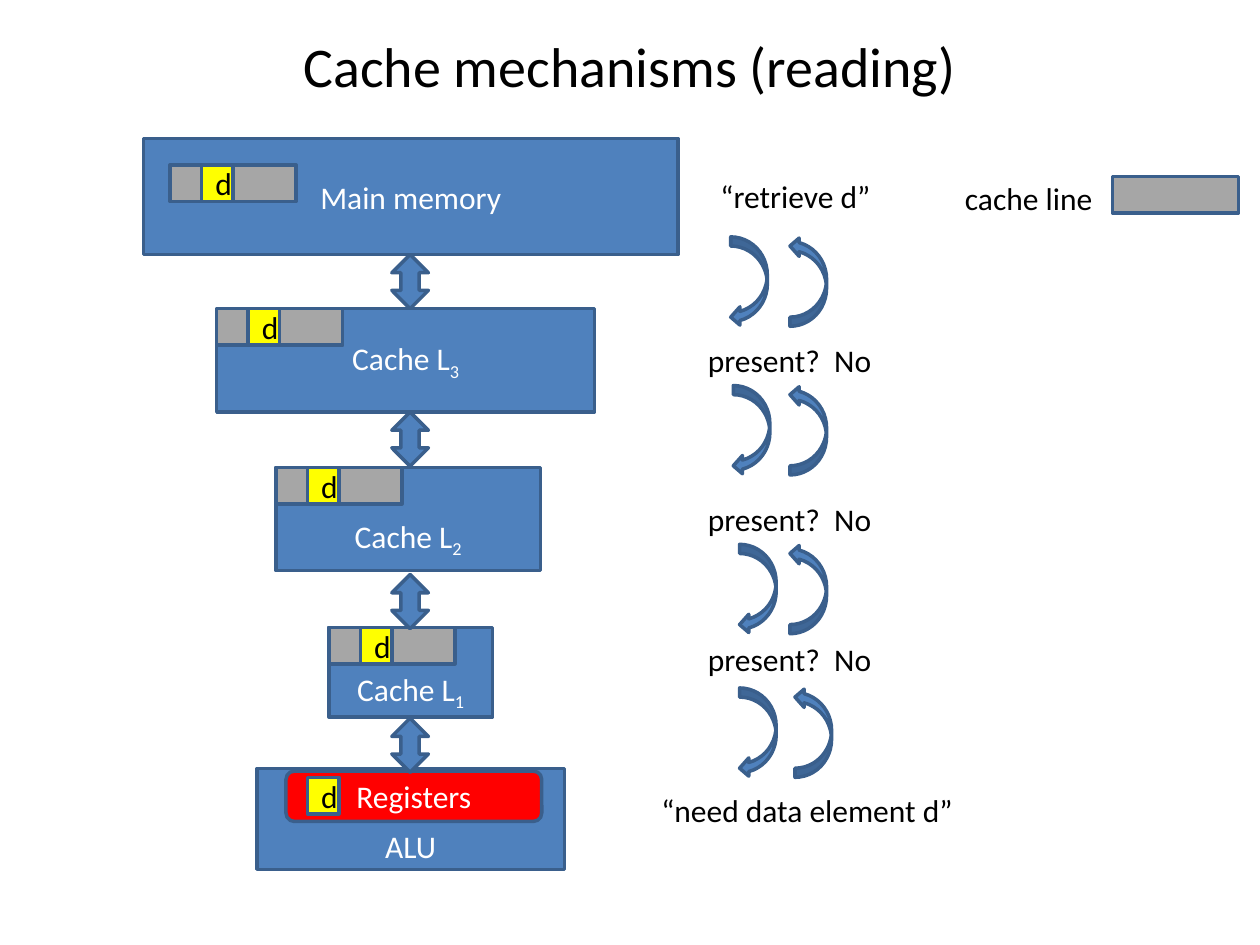
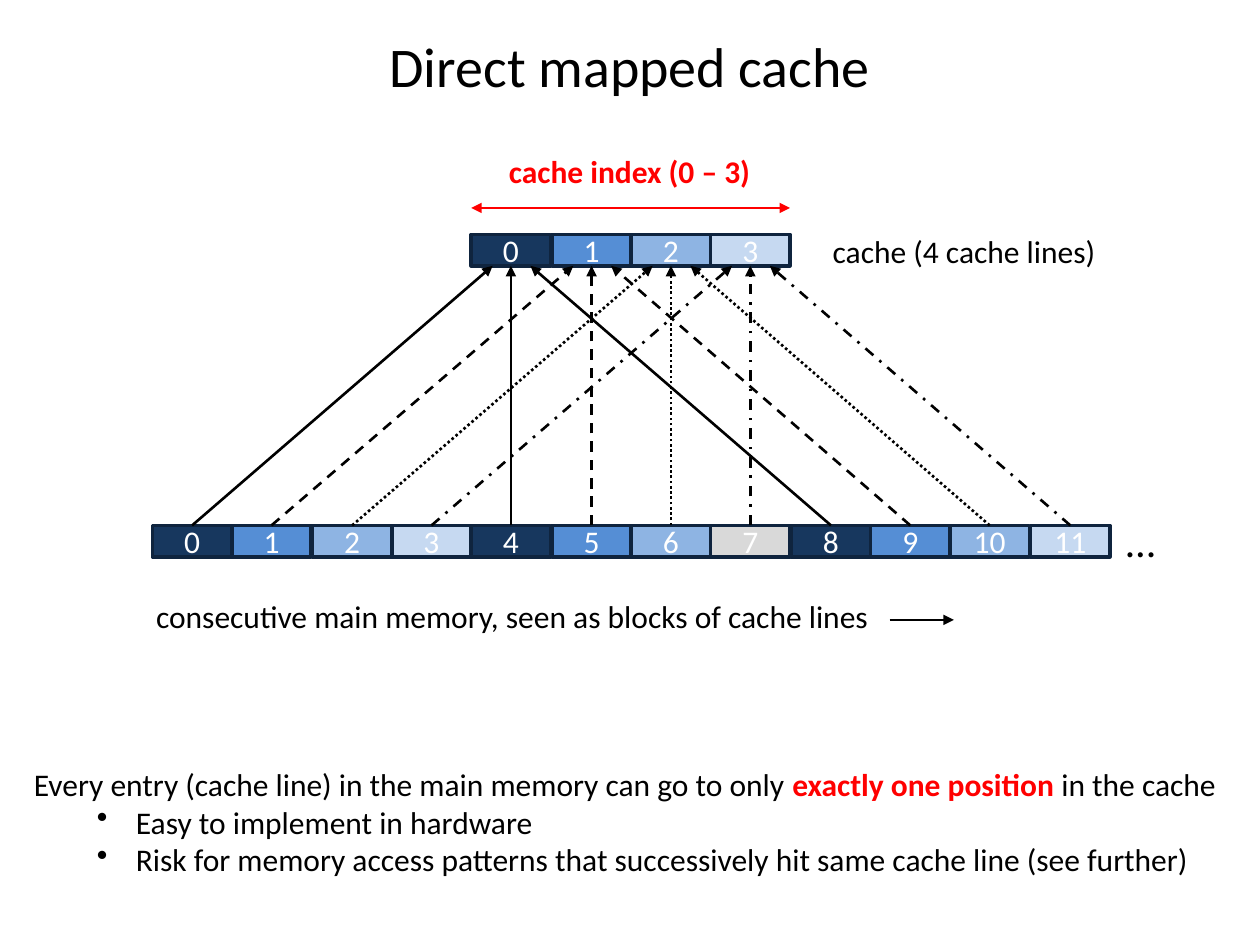
from lxml.etree import SubElement
from pptx import Presentation
from pptx.dml.color import RGBColor
from pptx.enum.dml import MSO_LINE as Dash
from pptx.enum.shapes import MSO_CONNECTOR, MSO_SHAPE as Shape
from pptx.enum.text import MSO_ANCHOR as Anchor, MSO_AUTO_SIZE as AutoSize, PP_ALIGN as Align
from pptx.oxml.ns import qn
from pptx.util import Emu, Pt

PX = 9144  # 100 px to the inch
FONT = "Calibri"
BLACK = RGBColor(0x00, 0x00, 0x00)
WHITE = RGBColor(0xFF, 0xFF, 0xFF)
RED = RGBColor(0xFF, 0x00, 0x00)
YELLOW = RGBColor(0xFF, 0xFF, 0x00)
GRAY = RGBColor(0xA6, 0xA6, 0xA6)
PALE_GRAY = RGBColor(0xD9, 0xD9, 0xD9)
BLUE = RGBColor(0x4F, 0x81, 0xBD)
BLUE_EDGE = RGBColor(0x3A, 0x5F, 0x8C)
NAVY_EDGE = RGBColor(0x0F, 0x24, 0x3E)
LINE_COLORS = [RGBColor(0x17, 0x37, 0x5E), RGBColor(0x55, 0x8E, 0xD5),
               RGBColor(0x8E, 0xB4, 0xE3), RGBColor(0xC6, 0xD9, 0xF1)]


def px(*lengths):
    return [Emu(length * PX) for length in lengths]


class Deck:
    """Holds the shared style and the slide being drawn."""

    def __init__(self):
        self.presentation = Presentation()
        self.presentation.slide_width, self.presentation.slide_height = px(1000, 750)
        self.slide = None

    def new_slide(self, title):
        self.slide = self.presentation.slides.add_slide(self.presentation.slide_layouts[6])
        box = self.text(50, 17, 900, 70, title, size=32)
        box.text_frame.auto_size = AutoSize.NONE
        box.text_frame.word_wrap = True
        box.text_frame.vertical_anchor = Anchor.MIDDLE
        box.text_frame.paragraphs[0].alignment = Align.CENTER

    def format_run(self, run, color=BLACK, size=18, bold=False):
        run.font.name, run.font.size, run.font.bold = FONT, Pt(size), bold
        run.font.color.rgb = color

    def add_run(self, paragraph, text, color=BLACK, bold=False):
        run = paragraph.add_run()
        run.text = text
        self.format_run(run, color, bold=bold)
        return run

    def text(self, left, top, width, height, text, color=BLACK, size=18, bold=False):
        box = self.slide.shapes.add_textbox(*px(left, top, width, height))
        frame = box.text_frame
        frame.text = text
        frame.word_wrap = False
        frame.auto_size = AutoSize.SHAPE_TO_FIT_TEXT
        self.format_run(frame.paragraphs[0].runs[0], color, size, bold)
        return box

    def bullet(self, frame, text):
        paragraph = frame.add_paragraph()
        paragraph.level = 1
        properties = paragraph._p.get_or_add_pPr()
        properties.set("marL", str(81 * PX))
        properties.set("indent", str(-31 * PX))
        SubElement(properties, qn("a:buChar")).set("char", "•")
        self.add_run(paragraph, text)

    def shape(self, kind, left, top, width, height, fill=BLUE, edge=BLUE_EDGE, flip=""):
        shape = self.slide.shapes.add_shape(kind, *px(left, top, width, height))
        shape.shadow.inherit = False
        shape.fill.solid()
        shape.fill.fore_color.rgb = fill
        shape.line.color.rgb = edge
        shape.line.width = Pt(2)
        for axis in flip:
            shape._element.spPr.xfrm.set(f"flip{axis}", "1")
        return shape

    def label(self, shape, text, subscript="", color=WHITE, left=0, top=0):
        """Centre text in a shape; left and top are insets that push it aside."""
        frame = shape.text_frame
        frame.margin_left, frame.margin_top, frame.margin_right, frame.margin_bottom = px(left, top, 0, 0)
        frame.vertical_anchor = Anchor.MIDDLE
        frame.text = text
        paragraph = frame.paragraphs[0]
        paragraph.alignment = Align.CENTER
        self.format_run(paragraph.runs[0], color)
        if subscript:
            run = self.add_run(paragraph, subscript, color)
            run._r.get_or_add_rPr().set("baseline", "-25000")

    def element_d(self, left, top):
        self.label(self.shape(Shape.RECTANGLE, left, top, 25, 29, YELLOW), "d", color=BLACK, left=10)

    def cache_line(self, left, top):
        self.shape(Shape.RECTANGLE, left, top, 100, 29, GRAY)

    def arrow(self, x1, y1, x2, y2, color=BLACK, dash=Dash.SOLID, both_ends=False):
        line = self.slide.shapes.add_connector(MSO_CONNECTOR.STRAIGHT, *px(x1, y1, x2, y2))
        line.line.color.rgb = color
        line.line.width = Pt(1.5)
        line.line.dash_style = dash
        properties = line._element.spPr
        outline = properties.find(qn("a:ln"))
        for end in ["headEnd", "tailEnd"] if both_ends else ["tailEnd"]:
            SubElement(outline, qn(f"a:{end}")).set("type", "triangle")
        SubElement(properties, qn("a:effectLst"))
        return line


def draw_reading(deck):
    deck.new_slide("Cache mechanisms (reading)")

    # Memory levels: place, label, subscript, push down, offset of the cache line
    levels = [
        (114, 110, 424, 92, "Main memory", "", 0, (21, 21)),
        (172, 245, 300, 82, "Cache L", "3", 0, (0, 0)),
        (219, 371, 210, 82, "Cache L", "2", 30, (0, 0)),
        (261, 498, 130, 71, "Cache L", "1", 30, (0, 0)),
        (204, 610, 244, 80, "ALU", "", 42, None),
    ]
    for left, top, width, height, name, subscript, push, offset in levels:
        box = deck.shape(Shape.RECTANGLE, left, top, width, height)
        deck.label(box, name, subscript, top=push)
        if offset:
            line_left, line_top = left + offset[0], top + offset[1]
            deck.cache_line(line_left, line_top)
            deck.element_d(line_left + 25, line_top)
    registers = deck.shape(Shape.ROUNDED_RECTANGLE, 227, 612, 203, 40, RED)
    deck.label(registers, "Registers")
    deck.element_d(244, 617)
    for top in (202, 327, 456, 570):
        deck.shape(Shape.UP_DOWN_ARROW, 311, top, 29, 43)

    # Request going up and answer coming down, between the steps
    for top, down_left, up_left in [(188, 580, 627), (306, 582, 627), (432, 587, 627), (546, 587, 631)]:
        deck.shape(Shape.CURVED_RIGHT_ARROW, down_left, top, 29, 71, flip="H")
        deck.shape(Shape.CURVED_RIGHT_ARROW, up_left, top, 29, 71, flip="HV")
    deck.text(562, 136, 140, 40, "“retrieve d”")
    for top in (266, 392, 503):
        deck.text(552, top, 151, 40, "present?  No")
    deck.text(515, 623, 255, 40, "“need data element d”")

    # Legend
    deck.text(756, 137, 123, 40, "cache line")
    deck.cache_line(883, 140)


def draw_direct_mapped(deck):
    deck.new_slide("Direct mapped cache")
    cache_size, memory_size, first_column = 4, 12, 4
    cache_top, memory_top, cell_height = 186, 417, 25

    def cell_left(column):
        return 121 + round(column * 190 / 3)

    def add_cell(column, top, number, fill):
        cell = deck.shape(Shape.RECTANGLE, cell_left(column), top, 63, cell_height, fill, NAVY_EDGE)
        deck.label(cell, str(number))
        return cell

    # Main memory and cache
    memory = [add_cell(n, memory_top, n, PALE_GRAY if n == 7 else LINE_COLORS[n % cache_size])
              for n in range(memory_size)]
    cache = [add_cell(first_column + n, cache_top, n, LINE_COLORS[n]) for n in range(cache_size)]

    # Each memory block points at its one cache line
    dashes = [Dash.SOLID, Dash.DASH, Dash.ROUND_DOT, Dash.DASH_DOT]
    for number, block in enumerate(memory):
        turn, index = divmod(number, cache_size)
        end_x = cell_left(first_column + index) + 32 + 15 * (turn - 1)
        line = deck.arrow(cell_left(number) + 32, memory_top, end_x, cache_top + cell_height,
                          dash=dashes[index])
        line.begin_connect(block, 0)
        if turn == 1:
            line.end_connect(cache[index], 2)

    # Captions
    deck.text(651, 179, 232, 40, "cache (4 cache lines)")
    deck.text(884, 404, 44, 50, "…", size=24)
    deck.text(114, 469, 592, 40, "consecutive main memory, seen as blocks of cache lines")
    deck.arrow(706, 492, 757, 492)
    deck.text(394, 116, 212, 40, "cache index (0 – 3)", RED, bold=True)
    deck.arrow(627, 165, 374, 165, RED, both_ends=True)

    # Conclusion
    frame = deck.text(17, 602, 969, 101,
                      "Every entry (cache line) in the main memory can go to only ").text_frame
    deck.add_run(frame.paragraphs[0], "exactly one position", RED, bold=True)
    deck.add_run(frame.paragraphs[0], " in the cache")
    deck.bullet(frame, "Easy to implement in hardware")
    deck.bullet(frame, "Risk for memory access patterns that successively hit same cache line (see further)")


def main():
    deck = Deck()
    draw_reading(deck)
    draw_direct_mapped(deck)
    deck.presentation.save("out.pptx")


if __name__ == "__main__":
    main()
